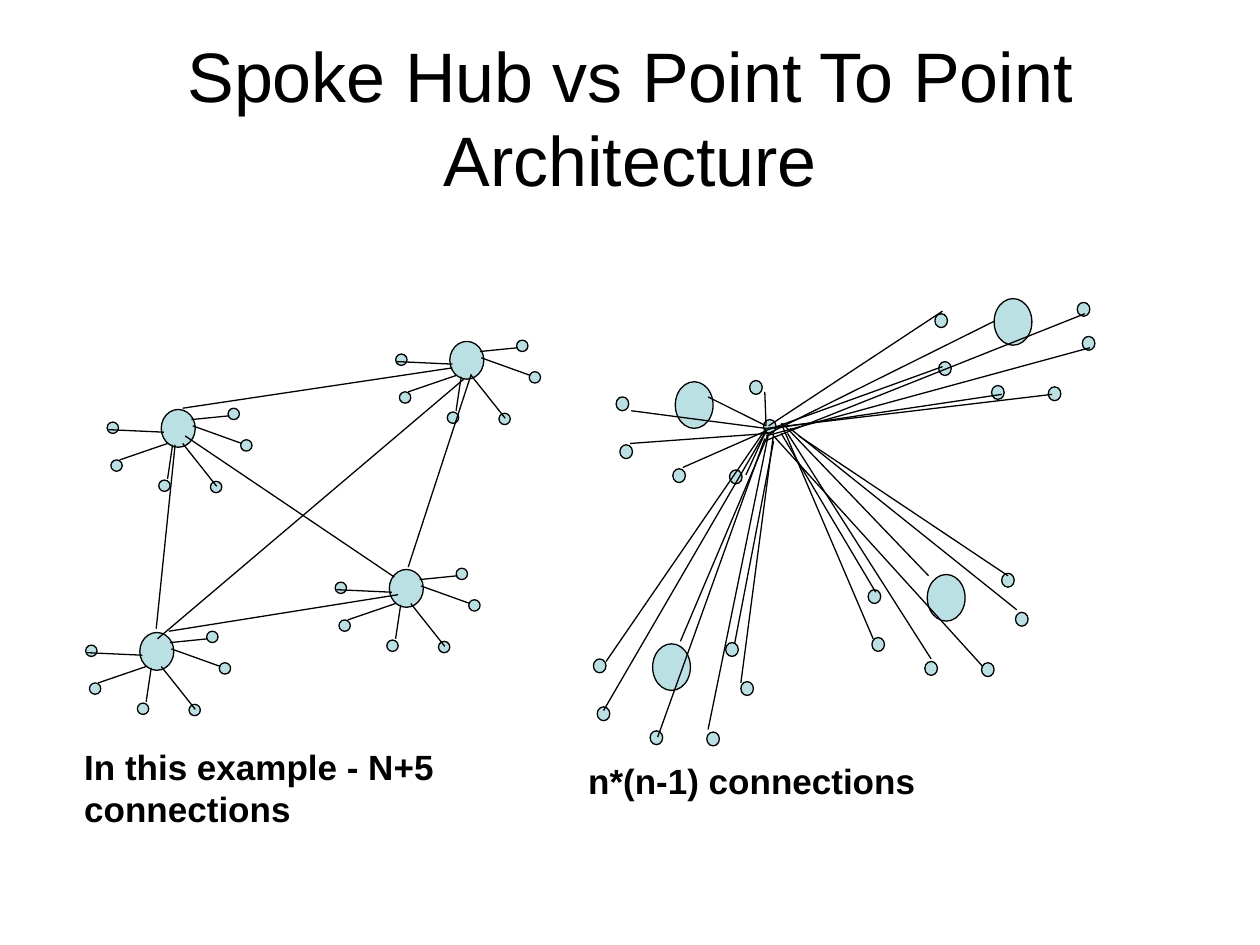
from lxml import etree
from pptx import Presentation
from pptx import util as u
from pptx.dml.color import RGBColor
from pptx.enum import shapes, text
from pptx.oxml.ns import qn

BLACK = RGBColor(0x00, 0x00, 0x00)
PALE_TEAL = RGBColor(0xBB, 0xE0, 0xE3)
COLUMNS, ROWS = 100, 75

SPOKE_HUBS = [(30.9, 45.2), (12.8, 32.5), (35.7, 27.1), (11.1, 50.2)]
SPOKE_HUB_SIZE, SPOKE_NODE_SIZE = (2.7, 3), (0.9, 0.9)
SPOKE_NODES = [(-4, 4), (-0.2, 5.6), (3.9, 5.7), (6.3, 2.4), (-4.3, 1), (5.3, -0.1)]
SPOKES = [
    ((0.2, 1.8), (-4.2, 1.6)), ((0.5, 2.7), (-3.3, 4)),
    ((0.9, 2.8), (0.5, 5.5)), ((1.7, 2.7), (4.4, 6.1)),
    ((2.5, 1.3), (6.4, 2.7)), ((2.4, 0.8), (5.4, 0.5)),
]
HUB_LINKS = [
    ((12.4, 49.9), (13.9, 35.3)), ((12.5, 50.7), (36.8, 30.1)),
    ((13.4, 50.1), (31.6, 47.2)), ((14.7, 34.6), (31.3, 45.8)),
    ((14.5, 32.4), (35.9, 29.2)), ((32.4, 45), (37.4, 29.7)),
]

POINT_HUB_SIZE, POINT_NODE_SIZE = (3, 3.7), (1, 1.1)
POINT_NODES = [(-4.4, 5), (-0.2, 6.9), (4.3, 7), (7, 3), (-4.7, 1.2)]
POINT_HUBS = [
    ((73.6, 45.6), (5.9, -0.1)), ((53.6, 30.3), (5.9, -0.1)),
    ((78.9, 23.7), (6.6, 0.3)), ((51.8, 51.1), (5.8, -0.1)),
]
POINT_LINKS = [
    ((61, 33.8), (74.8, 24.7)), ((60.7, 34.2), (74.8, 29.1)),
    ((61.4, 34), (79.5, 31.3)), ((60.8, 34), (83.5, 31.3)),
    ((60.8, 34.6), (86.5, 27.6)), ((61, 34.4), (78.9, 25.5)),
    ((60.7, 35), (86.1, 24.9)), ((60.8, 33.8), (60.7, 31.1)),
    ((60.8, 33.8), (56.2, 31.5)), ((60.8, 34), (50.1, 32.6)),
    ((61, 34.4), (50, 35.2)), ((60.8, 34.2), (54.2, 37.1)),
    ((60.8, 34.2), (59.2, 37.7)), ((60.8, 34), (48.1, 52.5)),
    ((60.8, 34.2), (47.9, 56.4)), ((61, 34.4), (54, 50.9)),
    ((61.4, 35), (58.3, 51.1)), ((61.4, 34.4), (58.8, 54.2)),
    ((61, 34.4), (56.2, 57.9)), ((60.7, 34.8), (52.2, 58.5)),
    ((62, 34.4), (69.5, 47)), ((62.1, 33.6), (73.7, 45.7)),
    ((62, 33.6), (69.3, 50.7)), ((62.5, 34.4), (73.9, 52.3)),
    ((63.4, 34.6), (80, 45.7)), ((62.7, 34), (80.7, 48.4)),
    ((61.4, 34.6), (78, 52.9)),
]


def shift(origin, offset):
    return origin[0] + offset[0], origin[1] + offset[1]


class NetworkSlide:
    font_name = "Arial"
    line_width = u.Pt(0.75)

    def __init__(self, deck):
        self.slide = deck.slides.add_slide(deck.slide_layouts[6])
        self.column = deck.slide_width / COLUMNS
        self.row = deck.slide_height / ROWS
        self.diagram = None

    def place(self, point):
        return round(point[0] * self.column), round(point[1] * self.row)

    def start_diagram(self):
        self.diagram = self.slide.shapes.add_group_shape().shapes

    def stroke(self, line):
        line.color.rgb = BLACK
        line.width = self.line_width

    def node(self, corner, size):
        ellipse = self.diagram.add_shape(
            shapes.MSO_SHAPE.OVAL, *self.place(corner), *self.place(size))
        ellipse.shadow.inherit = False
        ellipse.fill.solid()
        ellipse.fill.fore_color.rgb = PALE_TEAL
        self.stroke(ellipse.line)

    def cluster(self, hub, hub_size, offsets, node_size):
        self.node(hub, hub_size)
        for offset in offsets:
            self.node(shift(hub, offset), node_size)

    def links(self, ends, origin=(0, 0)):
        for start, end in ends:
            link = self.diagram.add_connector(
                shapes.MSO_CONNECTOR.STRAIGHT,
                *self.place(shift(origin, start)), *self.place(shift(origin, end)))
            self.stroke(link.line)
            etree.SubElement(link._element.spPr, qn("a:effectLst"))

    def words(self, content, corner, size, points, bold=False, wrap=True,
              align=text.PP_ALIGN.LEFT, anchor=text.MSO_ANCHOR.TOP,
              fit=text.MSO_AUTO_SIZE.SHAPE_TO_FIT_TEXT):
        frame = self.slide.shapes.add_textbox(
            *self.place(corner), *self.place(size)).text_frame
        frame.word_wrap = wrap
        frame.auto_size = fit
        frame.vertical_anchor = anchor
        paragraph = frame.paragraphs[0]
        paragraph.alignment = align
        run = paragraph.add_run()
        run.text = content
        run.font.name = self.font_name
        run.font.size = u.Pt(points)
        run.font.bold = bold
        run.font.color.rgb = BLACK


def main():
    deck = Presentation()
    deck.slide_width, deck.slide_height = u.Inches(10), u.Inches(7.5)
    page = NetworkSlide(deck)
    page.words("Spoke Hub vs Point To Point Architecture", (5, 3), (90, 12.5), 40,
               align=text.PP_ALIGN.CENTER, anchor=text.MSO_ANCHOR.MIDDLE,
               fit=text.MSO_AUTO_SIZE.NONE)

    page.start_diagram()
    for hub in SPOKE_HUBS:
        page.cluster(hub, SPOKE_HUB_SIZE, SPOKE_NODES, SPOKE_NODE_SIZE)
        page.links(SPOKES, hub)
    page.links(HUB_LINKS)
    page.words("In this example - N+5 connections", (5.7, 58.7), (31.5, 7.7), 20, bold=True)
    page.words("n*(n-1) connections", (45.7, 59.8), (28, 4.4), 20, bold=True, wrap=False)

    page.start_diagram()
    for hub, last_node in POINT_HUBS:
        page.cluster(hub, POINT_HUB_SIZE, POINT_NODES + [last_node], POINT_NODE_SIZE)
    page.links(POINT_LINKS)
    deck.save("out.pptx")


if __name__ == "__main__":
    main()
